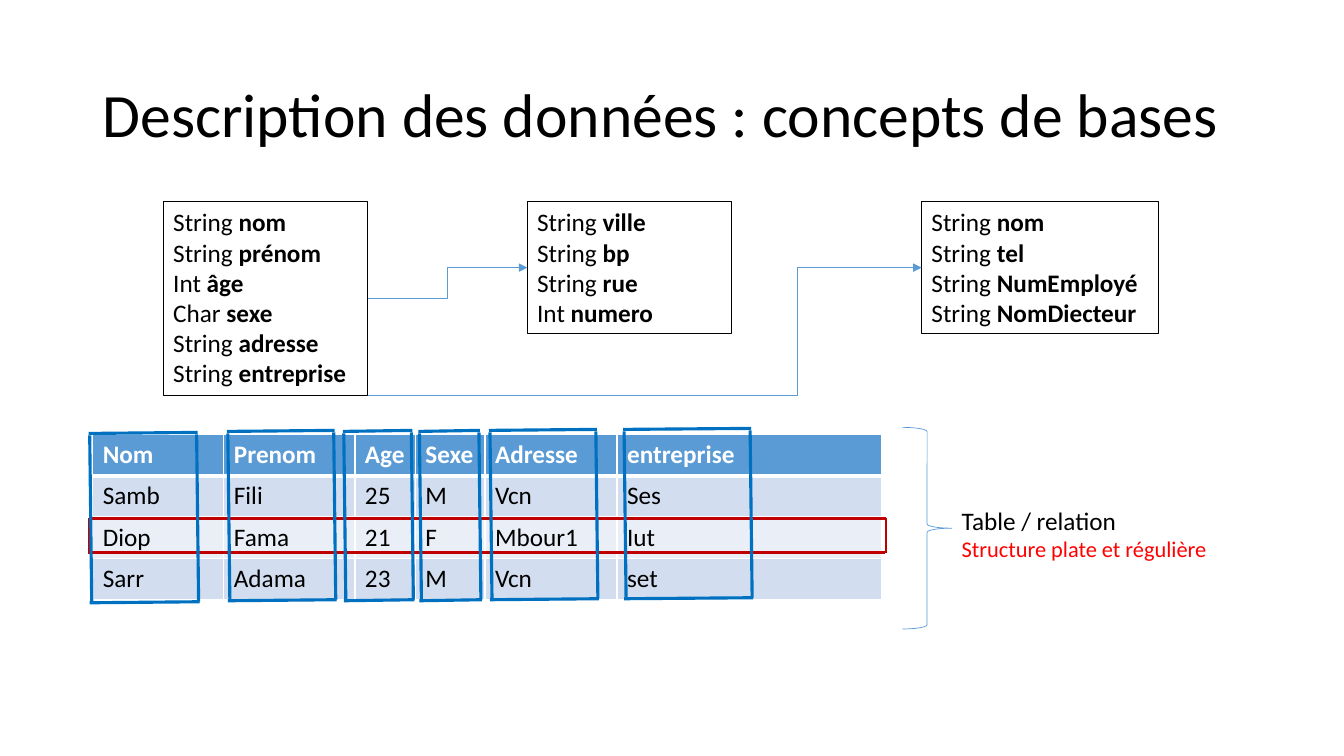
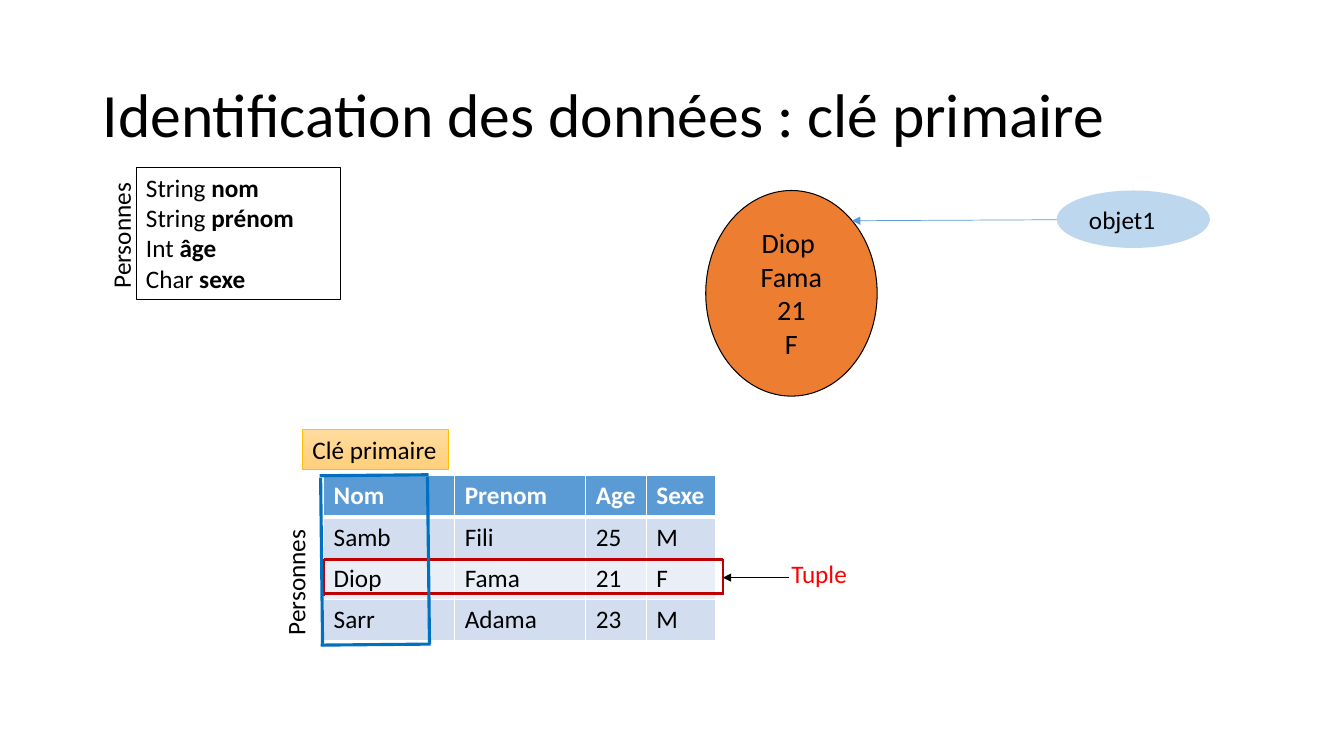
from lxml.etree import SubElement
from pptx import Presentation
from pptx.dml.color import RGBColor
from pptx.enum.shapes import MSO_CONNECTOR, MSO_SHAPE
from pptx.enum.text import MSO_ANCHOR, PP_ALIGN
from pptx.oxml.ns import qn
from pptx.util import Inches, Pt

FONT = "Calibri"
BLACK = RGBColor(0x00, 0x00, 0x00)
WHITE = RGBColor(0xFF, 0xFF, 0xFF)
RED = RGBColor(0xFF, 0x00, 0x00)
DARK_RED = RGBColor(0xC0, 0x00, 0x00)
BLUE = RGBColor(0x5B, 0x9B, 0xD5)
FRAME_BLUE = RGBColor(0x00, 0x70, 0xC0)
PALE_BLUE = RGBColor(0xBD, 0xD7, 0xEE)
BAND_DARK = RGBColor(0xD2, 0xDE, 0xEF)
BAND_LIGHT = RGBColor(0xEA, 0xEF, 0xF7)
ORANGE = RGBColor(0xED, 0x7D, 0x31)
GOLD = RGBColor(0xFF, 0xC0, 0x00)
KEY_TOP = RGBColor(0xFF, 0xDB, 0x9E)
KEY_BOTTOM = RGBColor(0xFF, 0xD0, 0x7C)

COLUMN_WIDTHS = [1.3, 1.3, 0.6, 0.69, 1.31, 2.62]
ROW_HEIGHT = 0.41
CELL_RIGHT_MARGIN = 0.04
PEOPLE = [
    ["Nom", "Prenom", "Age", "Sexe", "Adresse", "entreprise"],
    ["Samb", "Fili", "25", "M", "Vcn", "Ses"],
    ["Diop", "Fama", "21", "F", "Mbour1", "Iut"],
    ["Sarr", "Adama", "23", "M", "Vcn", "set"],
]
PERSON_FIELDS = [("String", "nom"), ("String", "prénom"), ("Int", "âge"), ("Char", "sexe")]
LINK_FIELDS = [("String", "adresse"), ("String", "entreprise")]
ADDRESS_FIELDS = [("String", "ville"), ("String", "bp"), ("String", "rue"), ("Int", "numero")]
COMPANY_FIELDS = [("String", "nom"), ("String", "tel"), ("String", "NumEmployé"),
                  ("String", "NomDiecteur")]


def inches(box):
    return [Inches(length) for length in box]


def style_run(run, size=18, color=BLACK, bold=False):
    run.font.name = FONT
    run.font.size = Pt(size)
    run.font.color.rgb = color
    run.font.bold = bold


def write_lines(frame, lines, align=PP_ALIGN.LEFT):
    frame.word_wrap = True
    frame.vertical_anchor = MSO_ANCHOR.TOP
    for index, (text, size, color) in enumerate(lines):
        paragraph = frame.paragraphs[0] if index == 0 else frame.add_paragraph()
        paragraph.text = text
        paragraph.alignment = align
        style_run(paragraph.runs[0], size, color)


def add_label(slide, box, *lines, rotation=0):
    label = slide.shapes.add_textbox(*inches(box))
    label.rotation = rotation
    write_lines(label.text_frame, lines)
    return label


def add_title(slide, text):
    frame = add_label(slide, (0.92, 0.44, 11.5, 1.45), (text, 44, BLACK)).text_frame
    frame.vertical_anchor = MSO_ANCHOR.MIDDLE
    frame.paragraphs[0].line_spacing = 0.9


def add_figure(slide, kind, box, fill=None, line=None, width=0.75):
    figure = slide.shapes.add_shape(kind, *inches(box))
    figure.shadow.inherit = False
    if fill is None:
        figure.fill.background()
    else:
        figure.fill.solid()
        figure.fill.fore_color.rgb = fill
    if line is None:
        figure.line.fill.background()
    else:
        figure.line.color.rgb = line
        figure.line.width = Pt(width)
    return figure


def add_record(slide, box, fields):
    record = add_figure(slide, MSO_SHAPE.RECTANGLE, box, line=BLACK)
    frame = record.text_frame
    frame.word_wrap = True
    frame.vertical_anchor = MSO_ANCHOR.TOP
    for index, (kind, name) in enumerate(fields):
        paragraph = frame.paragraphs[0] if index == 0 else frame.add_paragraph()
        paragraph.alignment = PP_ALIGN.LEFT
        for text, bold in ((kind + " ", False), (name, True)):
            run = paragraph.add_run()
            run.text = text
            style_run(run, bold=bold)
    return record


def add_link(shapes, start, end, color, width=0.5, arrow=False, kind=MSO_CONNECTOR.STRAIGHT):
    link = shapes.add_connector(kind, *inches(start + end))
    link.line.color.rgb = color
    link.line.width = Pt(width)
    properties = link._element.spPr
    if arrow:
        SubElement(properties.find(qn("a:ln")), qn("a:tailEnd"), type="triangle")
    SubElement(properties, qn("a:effectLst"))
    return link


def set_bend(link, share):
    geometry = link._element.spPr.find(qn("a:prstGeom"))
    values = geometry.find(qn("a:avLst"))
    if values is None:
        values = SubElement(geometry, qn("a:avLst"))
    SubElement(values, qn("a:gd"), name="adj1", fmla=f"val {round(share * 100000)}")


def add_frame(slide, left, top, color, sides):
    group = slide.shapes.add_group_shape()
    for x1, y1, x2, y2, width in sides:
        add_link(group.shapes, (left + x1, top + y1), (left + x2, top + y2), color, width)


def add_column_frame(slide, left, top, width, height=1.7):
    add_frame(slide, left, top, FRAME_BLUE, [
        (0.03, height, 0.01, 0.03, 2.25),
        (width - 0.01, height - 0.02, width - 0.03, 0.02, 2.25),
        (0.01, height - 0.01, width, height - 0.02, 2.25),
        (0, 0.01, width - 0.02, 0, 2.25),
    ])


def add_row_frame(slide, left, top, width, height=0.34):
    add_frame(slide, left, top, DARK_RED, [
        (0.01, 0, width, 0, 2.25),
        (0, height, width - 0.01, height, 2.25),
        (0.01, 0, 0.01, height + 0.02, 1.5),
        (width, 0, width, height + 0.01, 1.5),
    ])


def set_borders(cell, row):
    widths = {"L": 1, "R": 1, "T": 3 if row == 1 else 1, "B": 3 if row == 0 else 1}
    properties = cell._tc.get_or_add_tcPr()
    for side, width in widths.items():
        border = SubElement(properties, qn(f"a:ln{side}"), w=str(Pt(width)))
        fill = SubElement(border, qn("a:solidFill"))
        SubElement(fill, qn("a:srgbClr"), val=str(WHITE))


def add_people_table(slide, left, top, column_count):
    widths = COLUMN_WIDTHS[:column_count]
    box = (left, top, sum(widths), ROW_HEIGHT * len(PEOPLE))
    table = slide.shapes.add_table(len(PEOPLE), column_count, *inches(box)).table
    for column, width in zip(table.columns, widths):
        column.width = Inches(width)
    for row, person in enumerate(PEOPLE):
        table.rows[row].height = Inches(ROW_HEIGHT)
        header = row == 0
        for column, value in enumerate(person[:column_count]):
            cell = table.cell(row, column)
            set_borders(cell, row)
            cell.margin_right = Inches(CELL_RIGHT_MARGIN)
            cell.fill.solid()
            cell.fill.fore_color.rgb = BLUE if header else BAND_DARK if row % 2 else BAND_LIGHT
            cell.text_frame.text = value
            style_run(cell.text_frame.paragraphs[0].runs[0],
                      color=WHITE if header else BLACK, bold=header)


def add_key_badge(slide, box):
    badge = add_figure(slide, MSO_SHAPE.RECTANGLE, box, line=GOLD, width=0.5)
    badge.fill.gradient()
    badge.fill.gradient_angle = 270
    for stop, color in zip(badge.fill.gradient_stops, (KEY_TOP, KEY_BOTTOM)):
        stop.color.rgb = color
    write_lines(badge.text_frame, [("Clé primaire", 18, BLACK)])
    badge.text_frame.word_wrap = False


def add_object(slide, box, fill, lines, line=None, align=PP_ALIGN.LEFT):
    ellipse = add_figure(slide, MSO_SHAPE.OVAL, box, fill, line)
    write_lines(ellipse.text_frame, lines, align)


def add_side_name(slide, left, top):
    add_label(slide, (left, top, 1.26, 0.4), ("Personnes", 18, BLACK), rotation=270)


def build_concepts(slide):
    add_title(slide, "Description des données : concepts de bases")
    add_people_table(slide, 0.92, 4.31, 6)

    person = add_record(slide, (1.62, 2, 2.03, 1.92), PERSON_FIELDS + LINK_FIELDS)
    address = add_record(slide, (5.23, 2, 2.03, 1.31), ADDRESS_FIELDS)
    company = add_record(slide, (9.14, 2, 2.35, 1.31), COMPANY_FIELDS)
    address_link = add_link(slide.shapes, (3.65, 2.93), (5.23, 2.65), BLUE,
                            arrow=True, kind=MSO_CONNECTOR.ELBOW)
    address_link.begin_connect(person, 3)
    address_link.end_connect(address, 1)
    company_link = add_link(slide.shapes, (3.65, 3.92), (9.14, 2.65), BLUE,
                            arrow=True, kind=MSO_CONNECTOR.ELBOW)
    company_link.end_connect(company, 1)
    set_bend(company_link, 0.775)

    add_figure(slide, MSO_SHAPE.RIGHT_BRACE, (8.95, 4.24, 0.49, 2), line=BLUE, width=0.5)
    add_label(slide, (9.44, 4.96, 3.51, 0.67), ("Table / relation", 18, BLACK),
              ("Structure plate et régulière", 16, RED))
    add_row_frame(slide, 0.87, 5.14, 7.92)
    for left, top, width in ((0.88, 4.29, 1.1), (2.25, 4.27, 1.09), (4.15, 4.27, 0.63),
                             (3.4, 4.27, 0.71), (4.85, 4.26, 1.09), (6.18, 4.25, 1.29)):
        add_column_frame(slide, left, top, width)


def build_primary_key(slide):
    add_title(slide, "Identification des données : clé primaire")
    add_people_table(slide, 3.21, 4.72, 4)
    add_label(slide, (7.75, 5.49, 0.81, 0.4), ("Tuple", 18, RED))
    add_row_frame(slide, 3.2, 5.55, 3.97)

    add_object(slide, (7, 1.89, 1.7, 2.04), ORANGE,
               [(text, 20, BLACK) for text in ("Diop ", "Fama", "21", "F")],
               line=BLACK, align=PP_ALIGN.CENTER)
    add_link(slide.shapes, (7.83, 5.73), (7.17, 5.73), BLACK, arrow=True)
    add_object(slide, (10.48, 1.89, 1.52, 0.57), PALE_BLUE, [("objet1", 18, BLACK)])
    add_link(slide.shapes, (10.48, 2.18), (8.45, 2.19), BLUE, arrow=True)

    add_side_name(slide, 2.3, 5.57)
    add_column_frame(slide, 3.17, 4.71, 1.1)
    add_key_badge(slide, (3, 4.26, 1.45, 0.4))
    add_record(slide, (1.35, 1.66, 2.03, 1.31), PERSON_FIELDS)
    add_side_name(slide, 0.57, 2.13)


def main():
    presentation = Presentation()
    presentation.slide_width = Inches(13.33)
    presentation.slide_height = Inches(7.5)
    for build in (build_concepts, build_primary_key):
        build(presentation.slides.add_slide(presentation.slide_layouts[6]))
    presentation.save("out.pptx")


if __name__ == "__main__":
    main()
